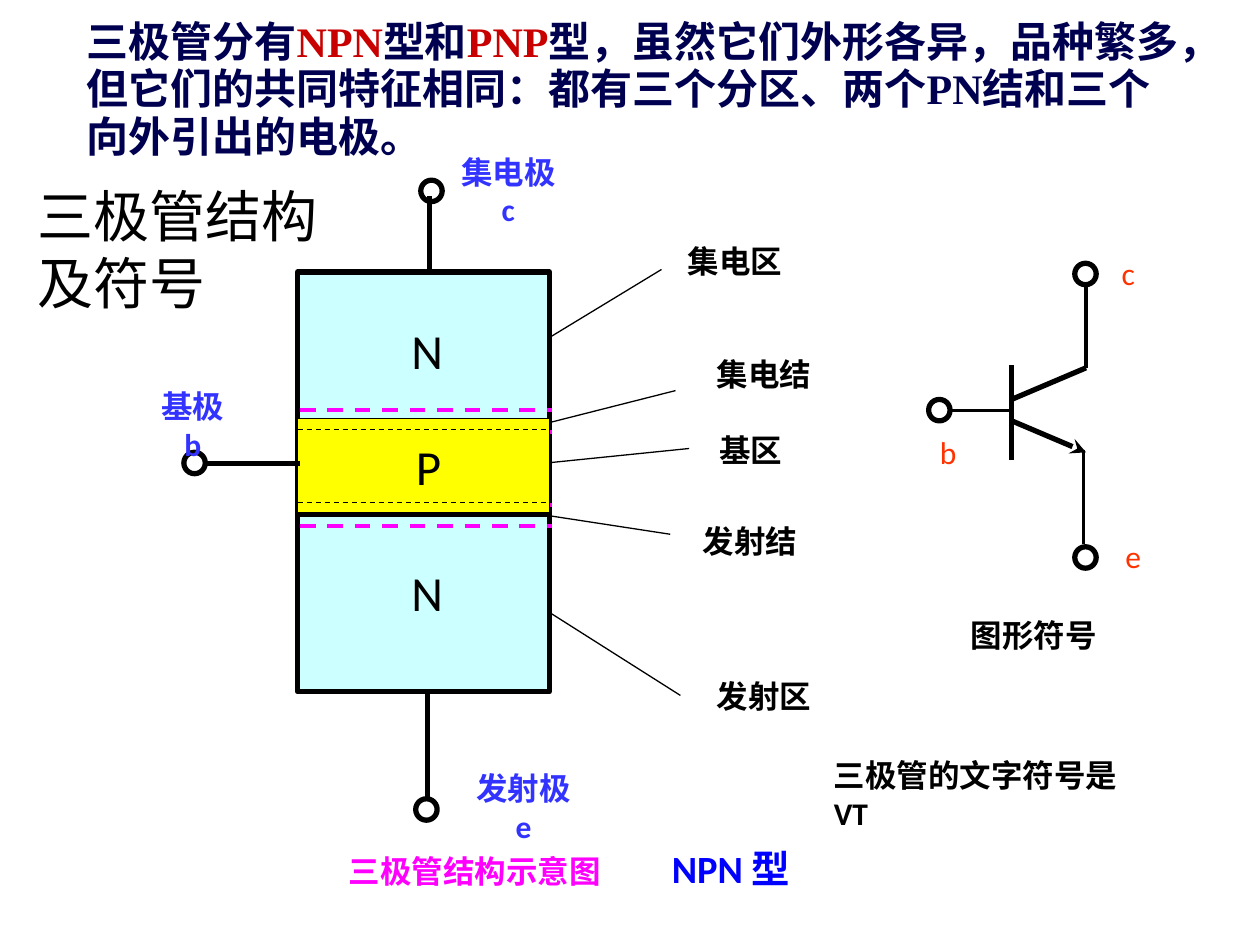
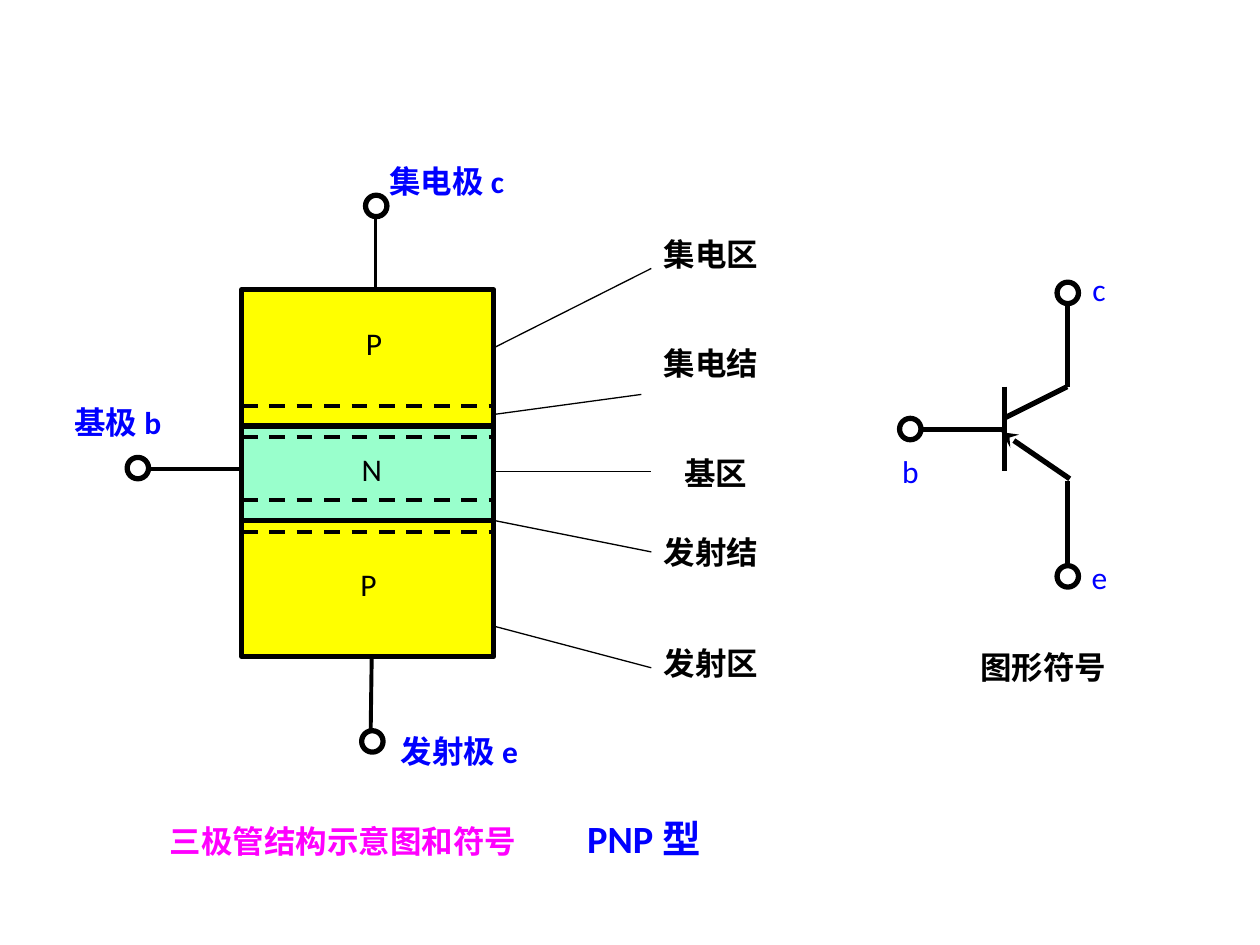
from dataclasses import dataclass

from lxml import etree
from pptx import Presentation
from pptx.dml.color import RGBColor
from pptx.enum import dml, shapes, text
from pptx.oxml import ns
from pptx.util import Pt


@dataclass(frozen=True)
class Theme:
    black: str = "000000"
    white: str = "FFFFFF"
    navy: str = "000050"
    red: str = "C80000"
    orange: str = "FF3300"
    blue: str = "0000FF"
    soft_blue: str = "3333FF"
    magenta: str = "FF00FF"
    cyan: str = "CCFFFF"
    yellow: str = "FFFF00"
    mint: str = "99FFCC"
    body_font: str = "Calibri"
    intro_font: str = "Times New Roman"
    small: int = 18
    type_name: int = 22
    intro: int = 24
    region: int = 28
    title: int = 32
    hairline: float = 0.75
    thin: float = 2
    medium: float = 2.25
    thick: float = 3


THEME = Theme()
LEFT, CENTER = text.PP_ALIGN.LEFT, text.PP_ALIGN.CENTER
TOP, MIDDLE = text.MSO_ANCHOR.TOP, text.MSO_ANCHOR.MIDDLE
INSET = 7.2
TERMINAL_SIZE = 12.25
BODY_WIDTH = 144
LABEL_HEIGHT = 29
LEADER_LABEL_WIDTH = 90

TITLE = ("三极管结构及符号", (14.4, 100, 193, 85))
INTRO_BOX = (42.5, 7.2, 642, 90)
INTRO = [
    ("三极管分有", THEME.navy),
    ("NPN", THEME.red),
    ("型和", THEME.navy),
    ("PNP", THEME.red),
    ("型，虽然它们外形各异，品种繁多，但它们的共同特征相同：都有三个分区、"
     "两个PN结和三个向外引出的电极。", THEME.navy),
]
SYMBOL_NOTE = ("三极管的文字符号是VT", (469.4, 428.4, 187, 44))


def region(top, height, fill, weight):
    return "region", top, height, fill, weight


def rule(y, color, weight, dashed=True, shift=0.0):
    return "rule", y, color, weight, dashed, shift


def junction_rules(junctions, above, below, color, shift=0.0):
    """Dashed borders of the depletion layer on both sides of each junction."""
    return [rule(y + offset, color, THEME.medium, shift=shift)
            for y in junctions for offset in (-above, below)]


NPN = {
    "leaders": [  # label, label corner, line from, line to
        ("集电区", (386, 134.6), (306.7, 197.3), (378, 154)),
        ("集电结", (402.5, 199.4), (309.6, 242.6), (386, 223.2)),
        ("基区", (404, 242.6), (308.2, 265), (393.8, 256.3)),
        ("发射结", (394.6, 294.5), (312.5, 294.5), (383, 305.3)),
        ("发射区", (402.5, 383), (306, 344.9), (388.8, 397.4)),
    ],
    "body_left": 170,
    "layers": [
        region(155.5, 239.8, THEME.cyan, THEME.thick),
        *[rule(y, THEME.black, THEME.medium, False, 1.4) for y in (240.5, 294.5)],
        *junction_rules((240.5, 294.5), 6, 6.2, THEME.magenta, 1.4),
        region(239, 54, THEME.yellow, THEME.hairline),
        rule(245.5, THEME.black, THEME.hairline),
        rule(287.3, THEME.black, THEME.hairline),
    ],
    "region_names": [("N", (226.8, 179.3, 34.6, 41)),
                     ("P", (229, 245.5, 31.7, 41)),
                     ("N", (226.8, 317.5, 34.6, 41))],
    "region_size": THEME.region,
    "lead_weight": THEME.thick,
    "leads": [((245.5, 154), (245.5, 112.3)),
              ((244.1, 396.7), (244.1, 456.5)),
              ((171.4, 265), (116.6, 265))],
    "terminals": [(246.6, 109.1), (243.7, 462.6), (111.2, 264.6),
                  (536.8, 234.4), (620.3, 156.6), (620.3, 318.6)],
    "terminal_fill": None,
    "electrodes": [("集电极 c", (249.8, 94.3, 81.4)),
                   ("基极 b", (77.8, 228.2, 64.8)),
                   ("发射极 e", (257.8, 446.4, 82.8))],
    "electrode_style": {"color": THEME.soft_blue, "align": CENTER, "inset": 12},
    "symbol": [  # from, to, weight, arrow
        ((578.2, 208.8), (578.2, 262.8), THEME.thick, False),
        ((578.2, 228.2), (620.6, 210.2), THEME.thick, False),
        ((578.2, 240.5), (620.6, 258.5), THEME.thick, True),
        ((578.2, 234.7), (542.2, 234.7), THEME.thin, False),
        ((620.6, 210.2), (620.6, 162.7), THEME.thin, False),
        ((619.2, 257), (619.2, 311), THEME.thin, False),
    ],
    "symbol_names": [("c", (623.5, 138.2, 42.5, 36)),
                     ("b", (527.8, 240.5, 28, 36)),
                     ("e", (635, 299.5, 25.2, 36))],
    "symbol_color": THEME.orange,
    "symbol_title": (547.2, 348.5, 87),
    "caption": ("三极管结构示意图", "NPN 型", (192.3, 479.5, 320, 34), 184.5),
}

PNP = {
    "leaders": [
        ("集电区", (372.2, 130.3), (276.5, 201.6), (372.2, 153.4)),
        ("集电结", (372.2, 193), (276.5, 237.6), (366.5, 225.4)),
        ("基区", (383.8, 255.6), (275.8, 269.3), (372.2, 269.3)),
        ("发射结", (372.2, 301), (282.2, 297.4), (372.2, 315.4)),
        ("发射区", (372.2, 364.3), (282.2, 357.8), (372.2, 381.6)),
    ],
    "body_left": 138.2,
    "layers": [
        region(165.6, 77.8, THEME.yellow, THEME.thick),
        region(297.4, 77.8, THEME.yellow, THEME.thick),
        region(243.4, 54, THEME.mint, THEME.thick),
        *junction_rules((243.4, 297.4), 11.5, 6.4, THEME.black),
    ],
    "region_names": [("P", (199.4, 177.8, 28.8, 36)),
                     ("N", (196.6, 249.8, 31.7, 36)),
                     ("P", (198.7, 315.4, 23.8, 36))],
    "region_size": THEME.small,
    "lead_weight": THEME.medium,
    "leads": [((214.6, 165.6), (214.6, 117.4)),
              ((212.4, 375.8), (211.7, 426.2)),
              ((138.2, 267.8), (84.2, 267.8))],
    "terminals": [(215, 117.7), (212.8, 423.7), (78.8, 267.5),
                  (520.2, 245.2), (610.2, 167.4), (610.2, 329.4)],
    "terminal_fill": THEME.white,
    "electrodes": [("集电极 c", (215.3, 88.6, 150)),
                   ("基极 b", (35.3, 226.8, 121)),
                   ("发射极 e", (221.8, 414.7, 126))],
    "electrode_style": {"color": THEME.blue},
    "symbol": [
        ((573.8, 221), (573.8, 269.3), THEME.thick, False),
        ((573.8, 239), (609.8, 221), THEME.thick, False),
        ((611.3, 273.6), (572.4, 247), THEME.thick, True),
        ((609.8, 221), (609.8, 167), THEME.thick, False),
        ((609.8, 275), (609.8, 324), THEME.thick, False),
        ((573.8, 245.5), (525.6, 245.5), THEME.thick, False),
    ],
    "symbol_names": [("c", (604, 146.9, 48.2, 36)),
                     ("b", (506.2, 251.3, 28, 36)),
                     ("e", (615.6, 311.8, 25.2, 36))],
    "symbol_color": THEME.blue,
    "symbol_title": (539.3, 366.5, 113.8),
    "caption": ("三极管结构示意图和符号", "PNP 型", (90, 462.2, 380, 34), 238.5),
}


def rgb(color):
    return RGBColor.from_string(color)


def add_run(paragraph, content, color, size=THEME.small, bold=True, font=THEME.body_font):
    run = paragraph.add_run()
    run.text = content
    run.font.name, run.font.size, run.font.bold = font, Pt(size), bold
    run.font.color.rgb = rgb(color)


def format_frame(shape, anchor, align, inset=INSET):
    """Set the frame up for wrapped text and return its first paragraph."""
    frame = shape.text_frame
    frame.word_wrap = True
    frame.auto_size = text.MSO_AUTO_SIZE.NONE
    frame.vertical_anchor = anchor
    frame.margin_left = frame.margin_right = Pt(inset)
    frame.margin_top = frame.margin_bottom = Pt(INSET / 2)
    paragraph = frame.paragraphs[0]
    paragraph.alignment = align
    return paragraph


def add_text(slide, box, anchor=MIDDLE, align=LEFT, inset=INSET):
    shape = slide.shapes.add_textbox(*map(Pt, box))
    return format_frame(shape, anchor, align, inset)


def add_label(slide, content, box, color=THEME.black, size=THEME.small, bold=True, **layout):
    add_run(add_text(slide, box, **layout), content, color, size, bold)


def add_line(slide, start, end, weight, color=THEME.black, dashed=False, arrow=False):
    connector = slide.shapes.add_connector(
        shapes.MSO_CONNECTOR.STRAIGHT, *map(Pt, (*start, *end)))
    connector.line.width = Pt(weight)
    connector.line.color.rgb = rgb(color)
    if dashed:
        connector.line.dash_style = dml.MSO_LINE.DASH
    properties = connector._element.spPr
    if arrow:
        outline = properties.find(ns.qn("a:ln"))
        etree.SubElement(outline, ns.qn("a:tailEnd"), type="stealth")
    etree.SubElement(properties, ns.qn("a:effectLst"))


def add_outlined(slide, preset, box, fill, weight):
    shape = slide.shapes.add_shape(preset, *map(Pt, box))
    shape.shadow.inherit = False
    if fill:
        shape.fill.solid()
        shape.fill.fore_color.rgb = rgb(fill)
    else:
        shape.fill.background()
    shape.line.color.rgb = rgb(THEME.black)
    shape.line.width = Pt(weight)


def add_leaders(slide, leaders):
    for name, corner, start, end in leaders:
        add_label(slide, name, (*corner, LEADER_LABEL_WIDTH, LABEL_HEIGHT))
        add_line(slide, start, end, THEME.hairline)


def add_body(slide, left, layers):
    for kind, y, *style in layers:
        if kind == "region":
            height, fill, weight = style
            add_outlined(slide, shapes.MSO_SHAPE.RECTANGLE,
                         (left, y, BODY_WIDTH, height), fill, weight)
        else:
            color, weight, dashed, shift = style
            start = left + shift
            add_line(slide, (start, y), (start + BODY_WIDTH, y), weight, color, dashed)


def add_caption(slide, caption, type_name, box, tab):
    paragraph = add_text(slide, box, anchor=TOP)
    tabs = etree.SubElement(paragraph._p.get_or_add_pPr(), ns.qn("a:tabLst"))
    etree.SubElement(tabs, ns.qn("a:tab"), pos=str(int(Pt(tab))), algn="l")
    add_run(paragraph, caption + "\t", THEME.magenta)
    add_run(paragraph, type_name, THEME.blue, THEME.type_name)


def add_transistor(slide, part):
    add_leaders(slide, part["leaders"])
    add_body(slide, part["body_left"], part["layers"])
    for start, end in part["leads"]:
        add_line(slide, start, end, part["lead_weight"])
    for start, end, weight, arrow in part["symbol"]:
        add_line(slide, start, end, weight, arrow=arrow)
    for x, y in part["terminals"]:
        box = (x - TERMINAL_SIZE / 2, y - TERMINAL_SIZE / 2, TERMINAL_SIZE, TERMINAL_SIZE)
        add_outlined(slide, shapes.MSO_SHAPE.OVAL, box, part["terminal_fill"], THEME.thick)
    for name, box in part["region_names"]:
        add_label(slide, name, box, size=part["region_size"], bold=False,
                  align=CENTER, inset=0)
    for name, box in part["electrodes"]:
        add_label(slide, name, (*box, LABEL_HEIGHT), **part["electrode_style"])
    for name, box in part["symbol_names"]:
        add_label(slide, name, box, part["symbol_color"], bold=False,
                  align=CENTER, inset=0)
    add_label(slide, "图形符号", (*part["symbol_title"], LABEL_HEIGHT), align=CENTER, inset=0)
    add_caption(slide, *part["caption"])


def add_heading(slide):
    content, box = TITLE
    title = slide.shapes.title
    title.left, title.top, title.width, title.height = map(Pt, box)
    add_run(format_frame(title, TOP, LEFT), content, THEME.black, THEME.title, False)

    paragraph = add_text(slide, INTRO_BOX, anchor=TOP)
    paragraph.line_spacing = 0.95
    for content, color in INTRO:
        add_run(paragraph, content, color, THEME.intro, font=THEME.intro_font)


def main():
    presentation = Presentation()
    presentation.slide_width, presentation.slide_height = Pt(720), Pt(540)
    title_only, blank = presentation.slide_layouts[5], presentation.slide_layouts[6]

    npn_slide = presentation.slides.add_slide(title_only)
    add_heading(npn_slide)
    add_transistor(npn_slide, NPN)
    note, box = SYMBOL_NOTE
    add_label(npn_slide, note, box, anchor=TOP)

    add_transistor(presentation.slides.add_slide(blank), PNP)
    presentation.save("out.pptx")


if __name__ == "__main__":
    main()
